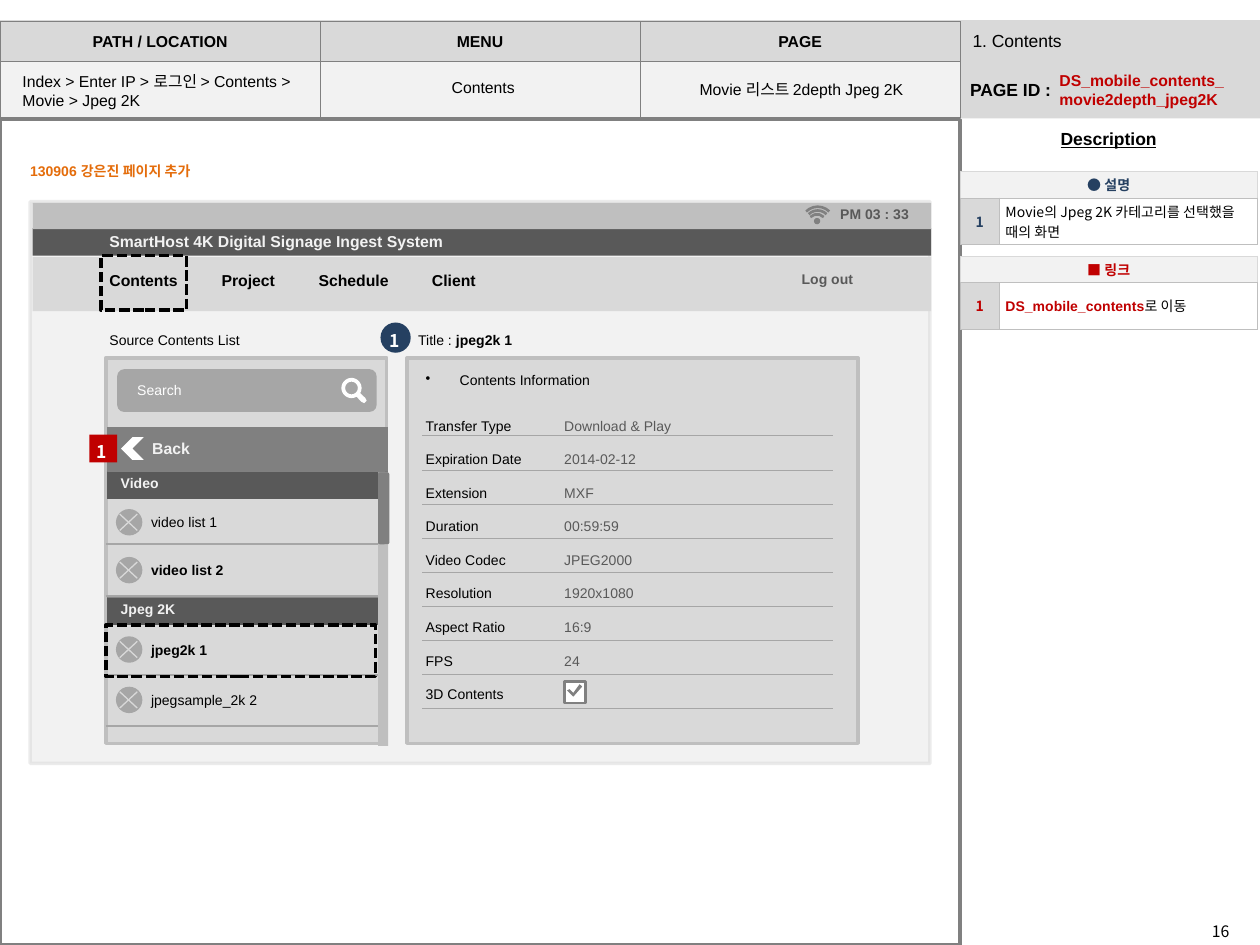
import math
from dataclasses import dataclass

from lxml import etree
from pptx import Presentation
from pptx import util as u
from pptx.dml.color import RGBColor
from pptx.enum import dml, shapes, text
from pptx.oxml import ns

KIND = shapes.MSO_SHAPE
LEFT, CENTER, RIGHT = text.PP_ALIGN.LEFT, text.PP_ALIGN.CENTER, text.PP_ALIGN.RIGHT


@dataclass(frozen=True)
class Theme:
    """Colours, fonts and type sizes."""
    black: str = "000000"
    white: str = "FFFFFF"
    pale: str = "F2F2F2"
    panel: str = "D9D9D9"
    edge: str = "BFBFBF"
    mid: str = "A6A6A6"
    gray: str = "808080"
    dark: str = "595959"
    red: str = "C00000"
    navy: str = "254061"
    orange: str = "E46C0A"
    latin: str = "Arial"
    korean: str = "Noto Sans CJK KR"
    small: int = 8
    body: int = 9
    large: int = 10


def inches(values):
    """Turn numbers into lengths."""
    return [u.Inches(value) for value in values]


def child(parent, tag, **attributes):
    """Append an XML element."""
    return etree.SubElement(parent, ns.qn(tag), attributes)


class Sketch:
    """Draws styled elements on a page or inside a group."""

    def __init__(self, canvas, theme):
        """Keep the shape collection and the style."""
        self.canvas, self.theme = canvas, theme

    def group(self):
        """Return a sketch that draws into a new group."""
        return Sketch(self.canvas.add_group_shape().shapes, self.theme)

    def paint(self, item, fill=None, line=None, width=2.0):
        """Set fill and outline of a shape."""
        item.shadow.inherit = False
        if fill:
            item.fill.solid()
            item.fill.fore_color.rgb = RGBColor.from_string(fill)
        else:
            item.fill.background()
        if line:
            item.line.color.rgb = RGBColor.from_string(line)
            item.line.width = u.Pt(width)
        else:
            item.line.fill.background()
        return item

    def shape(self, place, fill=None, line=None, width=2.0, kind=KIND.RECTANGLE, turn=0):
        """Draw a preset shape."""
        item = self.canvas.add_shape(kind, *inches(place))
        item.rotation = turn
        return self.paint(item, fill, line, width)

    def dashed(self, place):
        """Draw a dashed selection frame."""
        self.shape(place, line=self.theme.black).line.dash_style = dml.MSO_LINE.SQUARE_DOT

    def outline(self, contours, fill):
        """Draw a filled shape from closed contours."""
        first, *others = [[inches(point) for point in contour] for contour in contours]
        builder = self.canvas.build_freeform(*first[0])
        builder.add_line_segments(first[1:])
        for contour in others:
            builder.move_to(*contour[0])
            builder.add_line_segments(contour[1:])
        self.paint(builder.convert_to_shape(), fill)

    def line(self, start, end, color, width):
        """Draw a straight line."""
        item = self.canvas.add_connector(shapes.MSO_CONNECTOR.STRAIGHT, *inches((*start, *end)))
        item.line.color.rgb = RGBColor.from_string(color)
        item.line.width = u.Pt(width)
        child(item._element.spPr, "a:effectLst")

    def style(self, span, size=None, color=None, bold=False, font=None):
        """Format one run."""
        span.font.size, span.font.bold = u.Pt(size or self.theme.small), bold
        span.font.name = font or self.theme.latin
        span.font.color.rgb = RGBColor.from_string(color or self.theme.black)
        span._r.get_or_add_rPr().find(ns.qn("a:latin")).addnext(
            etree.Element(ns.qn("a:ea"), typeface=self.theme.korean))

    def set_words(self, frame, words, align=LEFT, spacing=None, **look):
        """Fill a text frame and format its paragraphs."""
        frame.text = words
        for para in frame.paragraphs:
            para.alignment = align
            if spacing:
                para.line_spacing = spacing
            for span in para.runs:
                self.style(span, **look)

    def add_words(self, frame, words, **look):
        """Add a differently styled run to the first paragraph."""
        span = frame.paragraphs[0].add_run()
        span.text = words
        self.style(span, **look)

    def label(self, place, words, **look):
        """Draw a text box and return its frame."""
        frame = self.canvas.add_textbox(*inches(place)).text_frame
        frame.word_wrap = True
        self.set_words(frame, words, **look)
        return frame

    def table(self, place, columns, rows):
        """Add a table with no banding."""
        grid = self.canvas.add_table(len(rows), len(columns), *inches(place)).table
        grid.first_row = grid.horz_banding = False
        for column, size in zip(grid.columns, columns):
            column.width = u.Inches(size)
        for row, size in zip(grid.rows, rows):
            row.height = u.Inches(size)
        return grid

    def cell(self, box, fill, border, width):
        """Set fill, borders and anchor of a cell."""
        box.vertical_anchor = text.MSO_ANCHOR.MIDDLE
        settings = box._tc.get_or_add_tcPr()
        for side in ("a:lnL", "a:lnR", "a:lnT", "a:lnB"):
            rule = child(settings, side, w=str(u.Pt(width)))
            child(child(rule, "a:solidFill"), "a:srgbClr", val=border)
        if fill:
            box.fill.solid()
            box.fill.fore_color.rgb = RGBColor.from_string(fill)
        else:
            box.fill.background()


def draw_header(page, t):
    """Draw the page frame, location table and page name."""
    page.shape((0, 0.16, 10, 0.78), t.panel)
    page.label((7.6, 0.58, 1.02, 0.27), "PAGE ID :", size=t.large, bold=True)
    title = page.label((8.32, 0.97, 1.17, 0.27), "Description", size=t.large, bold=True)
    title.paragraphs[0].runs[0].font.underline = True
    page.shape((0, 0.95, 7.62, 6.55), line=t.gray)
    grid = page.table((0, 0.17, 7.62, 0.76), [2.54] * 3, [0.32, 0.44])
    for column, words in enumerate(("PATH / LOCATION", "MENU", "PAGE")):
        page.set_words(grid.cell(0, column).text_frame, words, CENTER, size=t.body, bold=True)
        for row, fill in enumerate((t.panel, t.pale)):
            page.cell(grid.cell(row, column), fill, t.gray, 0.5)
    page.label((0.08, 0.52, 3.11, 0.4), "Index > Enter IP > 로그인 > Contents >\nMovie > Jpeg 2K", size=t.body)
    page.label((3.45, 0.57, 0.77, 0.25), "Contents", align=CENTER, size=t.body)
    page.label((5.22, 0.58, 2.28, 0.25), "Movie 리스트 2depth Jpeg 2K", align=CENTER, size=t.body)
    page.label((8.31, 0.51, 1.54, 0.4), "DS_mobile_contents_movie2depth_jpeg2K",
               size=t.body, color=t.red, bold=True)
    chapter = page.label((7.62, 0.07, 2.38, 0.51), "1. Contents", size=t.large)
    chapter.vertical_anchor = text.MSO_ANCHOR.MIDDLE
    page.label((9.52, 7.27, 0.61, 0.4), "16", size=t.body, font=t.korean)
    page.label((0.14, 1.24, 1.84, 0.24), "130906 강은진 페이지 추가", color=t.orange, bold=True)


def draw_note(page, t, top, heading, color):
    """Draw one description table and return the frame for its text."""
    grid = page.table((7.62, top, 2.36, 0.58), [0.31, 2.05], [0.21, 0.37])
    grid.cell(0, 0).merge(grid.cell(0, 1))
    for index, box in enumerate(grid.iter_cells()):
        page.cell(box, (t.pale, t.pale, t.panel, None)[index], t.edge if index > 1 else t.panel, 0.25)
        box.margin_left = box.margin_right = u.Inches(0.05)
        box.margin_top = box.margin_bottom = u.Inches(0.02)
    for row, words in enumerate((heading, "1")):
        page.set_words(grid.cell(row, 0).text_frame, words, CENTER, color=color, bold=True, font=t.korean)
    return grid.cell(1, 1).text_frame


def draw_screen(page, t):
    """Draw the app window with its bars and menu."""
    window = page.shape((0.24, 1.6, 7.14, 4.46), t.pale, t.panel)
    tint = window._element.spPr.find(ns.qn("a:ln")).find(".//" + ns.qn("a:srgbClr"))
    child(tint, "a:alpha", val="50000")
    for top, height, fill in ((1.81, 0.22, t.dark), (2.04, 0.43, t.panel), (1.61, 0.21, t.edge)):
        page.shape((0.26, top, 7.13, height), fill)
    page.label((0.77, 1.79, 4.36, 0.25), "SmartHost 4K Digital Signage Ingest System",
               size=t.body, color=t.pale, bold=True)
    page.label((6.57, 1.58, 0.94, 0.24), "PM 03 : 33", color=t.dark, bold=True)
    signal = page.group()
    for left, top, size in ((6.36, 1.64, 0.26), (6.39, 1.67, 0.2), (6.41, 1.7, 0.15)):
        signal.shape((left, top, size, size), line=t.gray, width=1.5, kind=KIND.ARC, turn=315)
    signal.shape((6.46, 1.73, 0.05, 0.05), t.gray, kind=KIND.OVAL)
    page.dashed((0.8, 2.03, 0.68, 0.43))
    page.label((6.07, 2.1, 0.8, 0.24), "Log out", align=RIGHT, color=t.dark, bold=True)
    menu = page.label((0.77, 2.1, 4.6, 0.25), "Contents\tProject\tSchedule\tClient", size=t.body, bold=True)
    stops = child(menu.paragraphs[0]._p.get_or_add_pPr(), "a:tabLst")
    for stop in (0.89, 1.66, 2.56):
        child(stops, "a:tab", pos=str(u.Inches(stop)), algn="l")


def draw_badge(page, t, place, fill, kind, spot):
    """Draw a numbered marker."""
    badge = page.group()
    badge.shape(place, fill, kind=kind)
    badge.label((*spot, 0.42, 0.32), "1", spacing=1.5, size=t.large, color=t.white, bold=True, font=t.korean)


def draw_list(page, t):
    """Draw the source contents list."""
    page.shape((0.84, 2.84, 2.23, 3.06), t.panel, t.edge)
    page.label((0.77, 2.58, 1.65, 0.24), "Source Contents List")
    search = page.group()
    search.shape((0.93, 2.93, 2.06, 0.34), t.mid, kind=KIND.ROUNDED_RECTANGLE)

    def ring(radius, start, end):
        """Return points along the lens."""
        angles = [math.radians(start + (end - start) * step / 32) for step in range(33)]
        return [(2.79 + radius * math.cos(a), 3.08 + radius * math.sin(a)) for a in angles]

    handle = [(2.87, 3.19), (2.89, 3.2), (2.91, 3.18), (2.9, 3.16)]
    search.outline([ring(0.08, 30, -300) + handle, ring(0.05, 0, 360)], t.white)
    search.label((0.99, 2.98, 1.65, 0.24), "Search", color=t.white)
    page.shape((0.85, 3.39, 2.23, 0.35), t.gray)
    for y in (4.73, 4.32, 5.36, 5.76):
        page.line((0.84, y), (3.01, y), t.mid, 1.25)
    for top, words in ((3.74, "Video"), (4.74, "Jpeg 2K")):
        page.shape((0.85, top, 2.23, 0.22), t.dark)
        page.label((0.86, top - 0.02, 0.97, 0.24), words, color=t.pale, bold=True)
    for top, words, bold in ((4.04, "video list 1", False), (4.42, "video list 2", True),
                             (5.05, "jpeg2k 1", True), (5.45, "jpegsample_2k 2", False)):
        page.label((1.1, top - 0.01, 1.52, 0.24), words, bold=bold)
        icon = page.group()
        icon.shape((0.92, top, 0.21, 0.21), t.mid, kind=KIND.OVAL)
        for start, end in ((0.04, 0.17), (0.17, 0.04)):
            icon.line((0.95, top + start), (1.09, top + end), t.panel, 0.75)
    page.shape((0.96, 3.47, 0.18, 0.18), t.white, kind=KIND.CHEVRON, turn=180)
    page.label((1.11, 3.43, 0.97, 0.25), "Back", size=t.body, color=t.pale, bold=True)
    scroll = page.group()
    scroll.shape((3, 3.75, 0.08, 2.17), t.edge)
    scroll.shape((3, 3.75, 0.09, 0.57), t.gray, kind=KIND.ROUNDED_RECTANGLE)
    page.dashed((0.84, 4.96, 2.14, 0.41))
    draw_badge(page, t, (0.71, 3.45, 0.22, 0.22), t.red, KIND.RECTANGLE, (0.67, 3.37))


def draw_details(page, t):
    """Draw the contents information panel."""
    page.shape((3.23, 2.84, 3.58, 3.06), t.panel, t.edge)
    page.add_words(page.label((3.22, 2.58, 1.65, 0.24), "Title : "), "jpeg2k 1", bold=True)
    heading = page.label((3.28, 2.9, 1.65, 0.24), "Contents Information")
    settings = heading.paragraphs[0]._p.get_or_add_pPr()
    settings.set("marL", str(u.Inches(0.27)))
    settings.set("indent", str(u.Inches(-0.27)))
    child(settings, "a:buChar", char="•")
    names = ("Transfer Type", "Expiration Date", "Extension", "Duration", "Video Codec",
             "Resolution", "Aspect Ratio", "FPS", "3D Contents")
    values = ("Download & Play", "2014-02-12", "MXF", "00:59:59", "JPEG2000", "1920x1080", "16:9", "24")
    page.label((3.28, 3.13, 1.08, 2.52), "\n".join(names), spacing=2.0)
    page.label((4.38, 3.13, 1.84, 2.26), "\n".join(values), spacing=2.0, color=t.dark)
    for row in range(len(names)):
        y = 3.46 + 0.27 * row
        page.line((3.35, y), (6.61, y), t.mid, 0.5)
    check = page.group()
    check.shape((4.48, 5.41, 0.17, 0.17), t.white, t.gray, 1.5)
    check.outline([[(4.52, 5.47), (4.55, 5.5), (4.6, 5.43), (4.62, 5.45), (4.55, 5.53),
                    (4.5, 5.48), (4.52, 5.47)]], t.gray)
    draw_badge(page, t, (3.02, 2.56, 0.24, 0.24), t.navy, KIND.OVAL, (2.99, 2.49))


def main():
    """Build and save the deck."""
    deck, theme = Presentation(), Theme()
    deck.slide_width, deck.slide_height = u.Inches(10), u.Inches(7.5)
    page = Sketch(deck.slides.add_slide(deck.slide_layouts[6]).shapes, theme)
    draw_header(page, theme)
    about = draw_note(page, theme, 1.36, "● 설명", theme.navy)
    page.set_words(about, "Movie의 Jpeg 2K 카테고리를 선택했을 때의 화면", font=theme.korean)
    link = draw_note(page, theme, 2.03, "■ 링크", theme.red)
    page.set_words(link, "DS_mobile_contents", color=theme.red, bold=True)
    page.add_words(link, "로 이동", font=theme.korean)
    draw_screen(page, theme)
    draw_list(page, theme)
    draw_details(page, theme)
    deck.save("out.pptx")


main()
